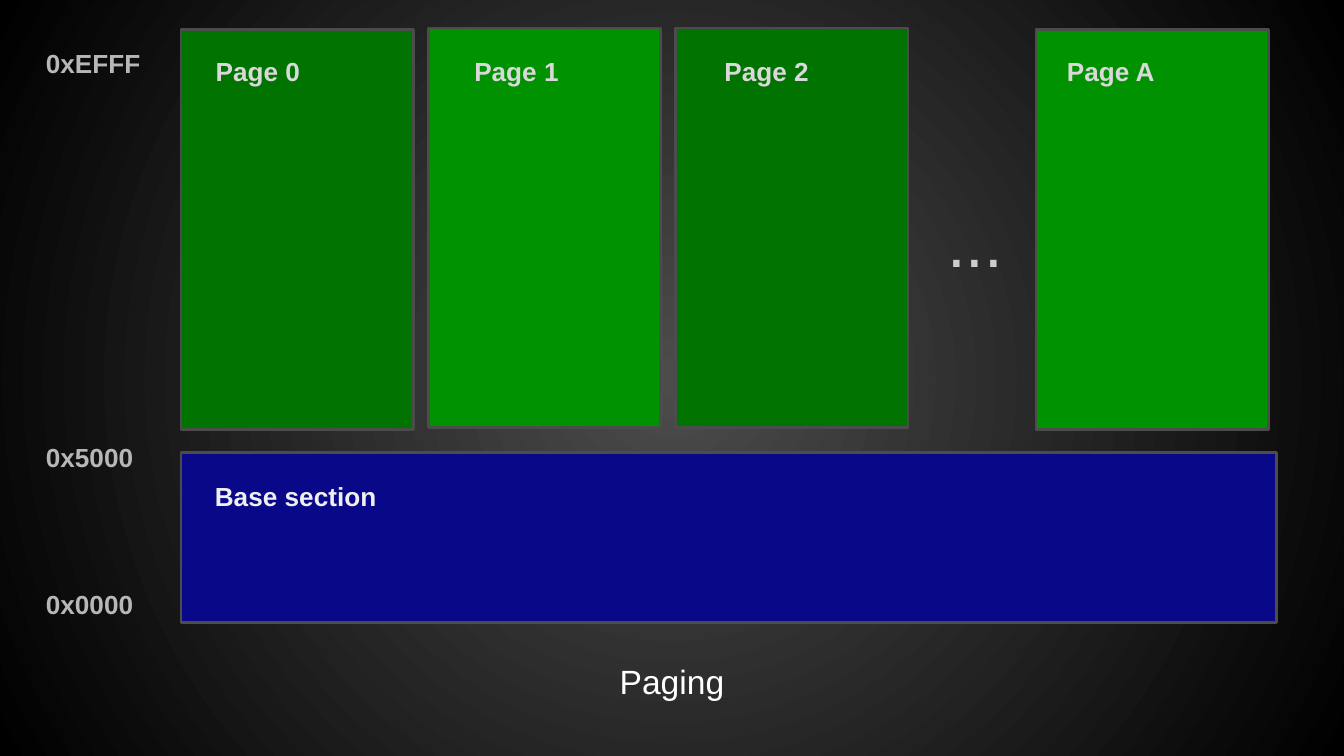
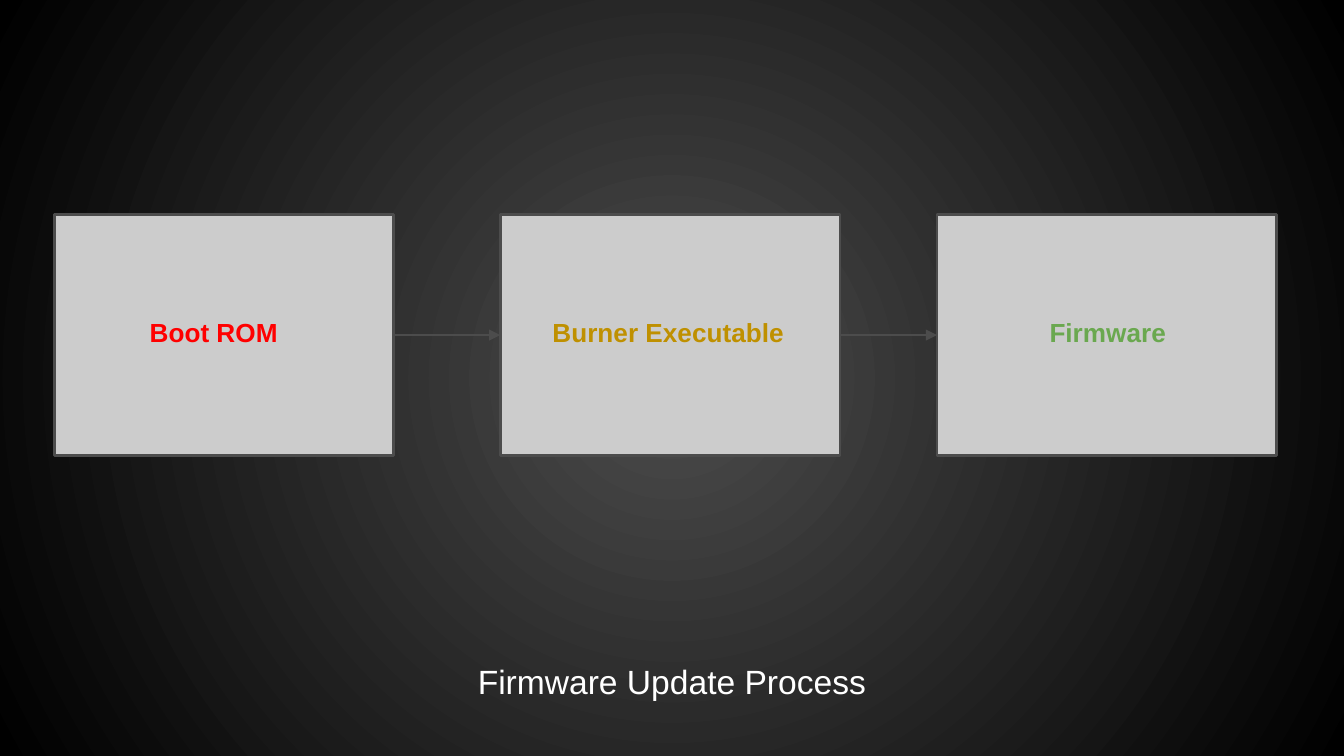
from lxml.etree import SubElement
from pptx import Presentation
from pptx.dml.color import RGBColor
from pptx.enum.shapes import MSO_CONNECTOR as Connector, MSO_SHAPE as Shape
from pptx.enum.text import MSO_ANCHOR as Anchor, PP_ALIGN as Align
from pptx.oxml.ns import qn
from pptx.util import Pt

FONT = "Arial"
INSET = 7.2
COLORS = {
    "glow": "4C4C4C", "edge": "000000", "outline": "4C4C4C", "title": "FFFFFF",
    "page_dark": "007300", "page_light": "009200", "page_text": "D9D9D9",
    "base": "080888", "base_text": "EFEFEF",
    "address": "B7B7B7", "ellipsis": "CCCCCC",
    "stage": "CCCCCC", "boot": "FF0000", "burner": "BF9000", "firmware": "6AA84F",
}


def color(name):
    return RGBColor.from_string(COLORS[name])


def set_background(master):
    """Give every slide a radial gradient that darkens from the centre."""
    fill = master.background.fill
    fill.gradient()
    for stop, name in zip(fill.gradient_stops, ("glow", "edge")):
        stop.color.rgb = color(name)
    gradient = master.element.find(".//" + qn("a:gradFill"))
    gradient.remove(gradient.find(qn("a:lin")))
    circle = SubElement(gradient, qn("a:path"), path="circle")
    SubElement(circle, qn("a:fillToRect"), l="50000", t="50000", r="50000", b="50000")


def place(shape, left, top, width, height):
    shape.left, shape.top, shape.width, shape.height = map(Pt, (left, top, width, height))


def write(shape, text, color_name, size=14, bold=True, align=Align.LEFT):
    frame = shape.text_frame
    frame.text = text
    frame.word_wrap = True
    frame.vertical_anchor = Anchor.TOP
    frame.margin_left = frame.margin_right = Pt(INSET)
    frame.margin_top = frame.margin_bottom = Pt(INSET)
    paragraph = frame.paragraphs[0]
    paragraph.alignment = align
    font = paragraph.font
    font.name, font.size, font.bold = FONT, Pt(size), bold
    font.color.rgb = color(color_name)


def add_titled_slide(presentation, title):
    slide = presentation.slides.add_slide(presentation.slide_layouts[5])
    place(slide.shapes.title, 36, 347, 648, 41)
    write(slide.shapes.title, title, "title", 18, False, Align.CENTER)
    return slide


def add_label(slide, text, left, top, width, height, color_name, **style):
    label = slide.shapes.add_textbox(*map(Pt, (left, top, width, height)))
    write(label, text, color_name, **style)


def add_box(slide, left, top, width, height, fill):
    box = slide.shapes.add_shape(Shape.RECTANGLE, *map(Pt, (left, top, width, height)))
    box.shadow.inherit = False
    box.fill.solid()
    box.fill.fore_color.rgb = color(fill)
    box.line.color.rgb = color("outline")
    box.line.width = Pt(1.5)
    return box


def add_arrow(slide, source, target):
    """Join the right side of source to the left side of target."""
    arrow = slide.shapes.add_connector(Connector.STRAIGHT, 0, 0, 0, 0)
    arrow.begin_connect(source, 3)
    arrow.end_connect(target, 1)
    arrow.line.color.rgb = color("outline")
    arrow.line.width = Pt(1.5)
    SubElement(arrow.line._get_or_add_ln(), qn("a:tailEnd"), type="triangle")
    SubElement(arrow._element.spPr, qn("a:effectLst"))


def build_paging(presentation):
    slide = add_titled_slide(presentation, "Paging")
    add_box(slide, 97, 242.5, 587, 91, "base")
    add_label(slide, "Base section", 108, 250, 165, 19, "base_text")

    pages = [
        ("Page 0", 97, 16, 108.5, "page_dark"),
        ("Page 1", 229.5, 15, 247, "page_light"),
        ("Page 2", 362, 15, 381, "page_dark"),
        ("Page A", 555, 16, 564.5, "page_light"),
    ]
    for name, left, top, label_left, fill in pages:
        add_box(slide, left, top, 124.5, 214, fill)
        add_label(slide, name, label_left, 22.5, 80, 27, "page_text")
    add_label(slide, "...", 489.5, 100, 66, 34, "ellipsis",
              size=36, bold=False, align=Align.CENTER)

    for address, top in (("0xEFFF", 18), ("0x5000", 229), ("0x0000", 308)):
        add_label(slide, address, 17.5, top, 72, 27, "address")


def build_update_process(presentation):
    slide = add_titled_slide(presentation, "Firmware Update Process")
    stages = [
        ("Boot ROM", 29, 56, 117, "boot"),
        ("Burner Executable", 268, 276.5, 163, "burner"),
        ("Firmware", 502, 512, 163, "firmware"),
    ]
    boxes = [add_box(slide, left, 115, 182, 129, "stage")
             for _, left, _, _, _ in stages]
    for source, target in zip(boxes, boxes[1:]):
        add_arrow(slide, source, target)
    for name, _, label_left, label_width, text_color in stages:
        add_label(slide, name, label_left, 162.5, label_width, 34, text_color,
                  align=Align.CENTER)


def main():
    presentation = Presentation()
    presentation.slide_width, presentation.slide_height = Pt(720), Pt(405)
    set_background(presentation.slide_master)
    build_paging(presentation)
    build_update_process(presentation)
    presentation.save("out.pptx")


if __name__ == "__main__":
    main()
